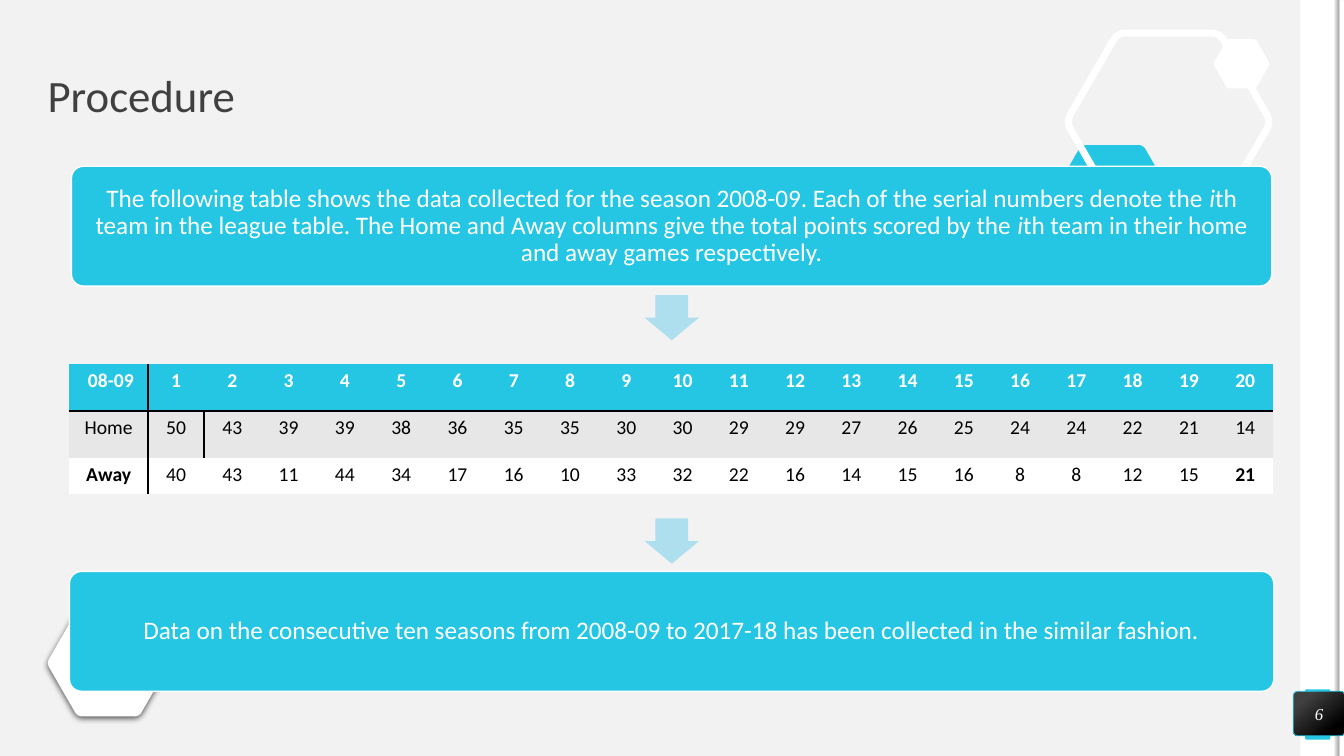
import math

from lxml import etree
from pptx import Presentation
from pptx.dml.color import RGBColor
from pptx.enum.shapes import MSO_SHAPE
from pptx.enum.text import MSO_ANCHOR, PP_ALIGN
from pptx.oxml.ns import qn
from pptx.util import Cm, Pt

RECTANGLE = MSO_SHAPE.RECTANGLE
ROUNDED = MSO_SHAPE.ROUNDED_RECTANGLE
ARROW = MSO_SHAPE.RIGHT_ARROW
MIDDLE = MSO_ANCHOR.MIDDLE
LEFT, CENTER = PP_ALIGN.LEFT, PP_ALIGN.CENTER

CYAN, PALE_CYAN, WHITE, BLACK = "25C6E3", "ADDFEF", "FFFFFF", "000000"
NO_STYLE = "{2D5ABB26-0587-4C30-8999-92F81FD0307C}"

INTRO = [
    "The following table shows the data collected for the season 2008-09. "
    "Each of the serial numbers denote the ", "i",
    "th team in the league table. The Home and Away columns give the total "
    "points scored by the ", "i",
    "th team in their home and away games respectively.",
]
OUTRO = ["Data on the consecutive ten seasons from 2008-09 to 2017-18 has been "
         "collected in the similar fashion."]
HOME = [50, 43, 39, 39, 38, 36, 35, 35, 30, 30,
        29, 29, 27, 26, 25, 24, 24, 22, 21, 14]
AWAY = [40, 43, 11, 44, 34, 17, 16, 10, 33, 32,
        22, 16, 14, 15, 16, 8, 8, 12, 15, 21]


def color(value):
    return RGBColor.from_string(value)


def style_shape(shape, fill=None, line=None, line_width=1):
    shape.shadow.inherit = False
    if fill:
        shape.fill.solid()
        shape.fill.fore_color.rgb = color(fill)
    else:
        shape.fill.background()
    if line:
        shape.line.color.rgb = color(line)
        shape.line.width = Pt(line_width)
    else:
        shape.line.fill.background()


def add_block(slide, kind, box, fill, line=None, line_width=1, adjust=(), rotation=0):
    shape = slide.shapes.add_shape(kind, *(Cm(length) for length in box))
    style_shape(shape, fill, line, line_width)
    for index, value in enumerate(adjust):
        shape.adjustments[index] = value
    shape.rotation = rotation
    return shape


def set_gradient(shape, stops, angle):
    shape.fill.gradient()
    shape.fill.gradient_angle = angle
    for stop, (position, value) in zip(shape.fill.gradient_stops, stops):
        stop.position = position
        stop.color.rgb = color(value)


def add_hexagon(slide, center_x, center_y, height, **style):
    """Flat-topped hexagon whose corners are rounded with quadratic curves."""
    radius, cut = height / math.sqrt(3), 0.083
    corners = [(center_x + radius * math.cos(math.radians(60 * step)),
                center_y + radius * math.sin(math.radians(60 * step)))
               for step in range(6)]
    points = []
    for index, corner in enumerate(corners):
        before, after = corners[index - 1], corners[(index + 1) % 6]
        for step in range(7):
            t = step / 6
            points.append(tuple(
                Cm(c + cut * ((1 - t) ** 2 * (b - c) + t ** 2 * (a - c)))
                for b, c, a in zip(before, corner, after)))
    builder = slide.shapes.build_freeform(*points[0])
    builder.add_line_segments(points[1:], close=True)
    shape = builder.convert_to_shape()
    style_shape(shape, **style)
    return shape


def add_shadow(shape):
    effects = shape.element.spPr.find(qn("a:effectLst"))
    shadow = etree.SubElement(effects, qn("a:outerShdw"), blurRad=str(Pt(4.5)),
                              dist=str(Pt(1.5)), dir="5400000")
    shade = etree.SubElement(shadow, qn("a:srgbClr"), val=BLACK)
    etree.SubElement(shade, qn("a:alpha"), val="63000")


def format_runs(paragraph, size, value, align=CENTER, font="Calibri", bold=False):
    paragraph.alignment = align
    for run in paragraph.runs:
        run.font.size = Pt(size)
        run.font.name = font
        run.font.bold = bold
        run.font.color.rgb = color(value)


def prepare_frame(shape, margin):
    frame = shape.text_frame
    frame.word_wrap = True
    frame.vertical_anchor = MIDDLE
    frame.margin_left = frame.margin_right = Cm(margin)
    frame.margin_top = frame.margin_bottom = Cm(margin)
    return frame


def add_text_block(slide, box, pieces):
    """Rounded box; every second piece of its text is italic."""
    shape = add_block(slide, ROUNDED, box, CYAN, WHITE, adjust=[0.1])
    paragraph = prepare_frame(shape, 0.28).paragraphs[0]
    paragraph.line_spacing = 0.9
    for index, piece in enumerate(pieces):
        run = paragraph.add_run()
        run.text = piece
        run.font.italic = index % 2 == 1
    format_runs(paragraph, 18, WHITE)


def add_border(cell, side, width):
    line = etree.SubElement(cell._tc.get_or_add_tcPr(), qn("a:" + side),
                            w=str(Pt(width)))
    fill = etree.SubElement(line, qn("a:solidFill"))
    etree.SubElement(fill, qn("a:srgbClr"), val=BLACK)


def add_points_table(slide):
    rows = [[" 08-09", *range(1, 21)], ["Home", *HOME], ["Away", *AWAY]]
    row_styles = [(CYAN, WHITE), ("E7E7E7", BLACK), (WHITE, BLACK)]
    heights = [1.18, 1.18, 0.91]
    width, label_width = 30.35, 1.98
    table = slide.shapes.add_table(3, 21, Cm(1.75), Cm(9.17), Cm(width),
                                   Cm(sum(heights))).table
    table._tbl.tblPr.find(qn("a:tableStyleId")).text = NO_STYLE
    for index, column in enumerate(table.columns):
        column.width = Cm((width - label_width) / 20 if index else label_width)
    for row, values in enumerate(rows):
        table.rows[row].height = Cm(heights[row])
        fill, text_color = row_styles[row]
        for column, value in enumerate(values):
            cell = table.cell(row, column)
            if column == 0:
                add_border(cell, "lnR", 1)
            elif (row, column) == (1, 1):
                add_border(cell, "lnR", 1.5)
            if row == 0:
                add_border(cell, "lnB", 1.5)
            cell.fill.solid()
            cell.fill.fore_color.rgb = color(fill)
            cell.text_frame.text = str(value)
            bold = row == 0 or (row == 2 and column in (0, 20))
            format_runs(cell.text_frame.paragraphs[0], 14, text_color, bold=bold)


def add_title(slide):
    title = slide.shapes.title
    title.left, title.top, title.width, title.height = Cm(1.2), Cm(1.88), Cm(31.47), Cm(1.2)
    frame = prepare_frame(title, 0)
    frame.text = "Procedure"
    frame.paragraphs[0].line_spacing = 0.9
    format_runs(frame.paragraphs[0], 32, "404040", LEFT)


def add_side_strip(slide):
    add_block(slide, RECTANGLE, (32.77, 0, 0.99, 19.05), WHITE)
    add_block(slide, ROUNDED, (32.89, 17.37, 0.64, 1.27), CYAN, adjust=[0.07])
    add_block(slide, RECTANGLE, (24.28, 9.47, 19.05, 0.13), WHITE, rotation=90)
    edge = add_block(slide, RECTANGLE, (24.16, 9.47, 19.05, 0.13), WHITE, rotation=90)
    set_gradient(edge, [(0, "F2F2F2"), (1, "A6A6A6")], 90)


def add_page_badge(slide):
    badge = add_block(slide, ROUNDED, (32.59, 17.42, 1.3, 1.12), BLACK, CYAN, 0.5, [0.1])
    set_gradient(badge, [(0.2, "404040"), (0.82, BLACK)], 310)
    frame = prepare_frame(badge, 0)
    frame.text = "6"
    format_runs(frame.paragraphs[0], 12, WHITE, font="Times New Roman")
    frame.paragraphs[0].runs[0].font.italic = True


def main():
    presentation = Presentation()
    presentation.slide_width, presentation.slide_height = Cm(33.87), Cm(19.05)
    slide = presentation.slides.add_slide(presentation.slide_layouts[5])
    slide.background.fill.solid()
    slide.background.fill.fore_color.rgb = color("F2F2F2")

    # Decoration
    add_side_strip(slide)
    add_shadow(add_hexagon(slide, 2.73, 16.71, 2.69, fill=WHITE))
    add_hexagon(slide, 28.03, 5, 2.69, fill=CYAN)
    add_hexagon(slide, 29.45, 3.07, 4.47, line=WHITE, line_width=5)
    add_hexagon(slide, 31.29, 1.61, 1.24, fill=WHITE)

    # Procedure steps
    add_title(slide)
    add_text_block(slide, (1.8, 4.19, 30.25, 3.02), INTRO)
    for top in (7.32, 12.95):
        add_block(slide, ARROW, (16.36, top, 1.14, 1.37), PALE_CYAN,
                  adjust=[0.6, 0.5], rotation=90)
    add_text_block(slide, (1.75, 14.4, 30.35, 3.02), OUTRO)
    add_page_badge(slide)
    add_points_table(slide)

    presentation.save("out.pptx")


if __name__ == "__main__":
    main()
